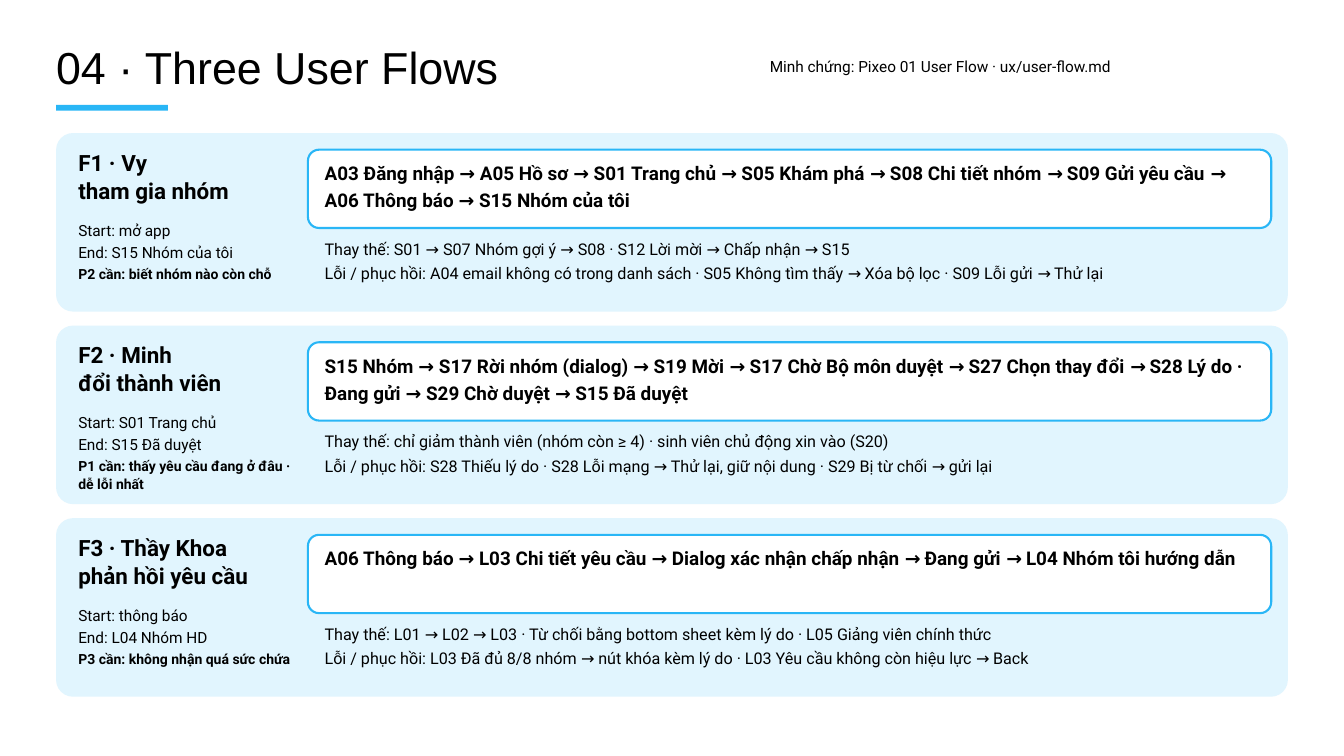
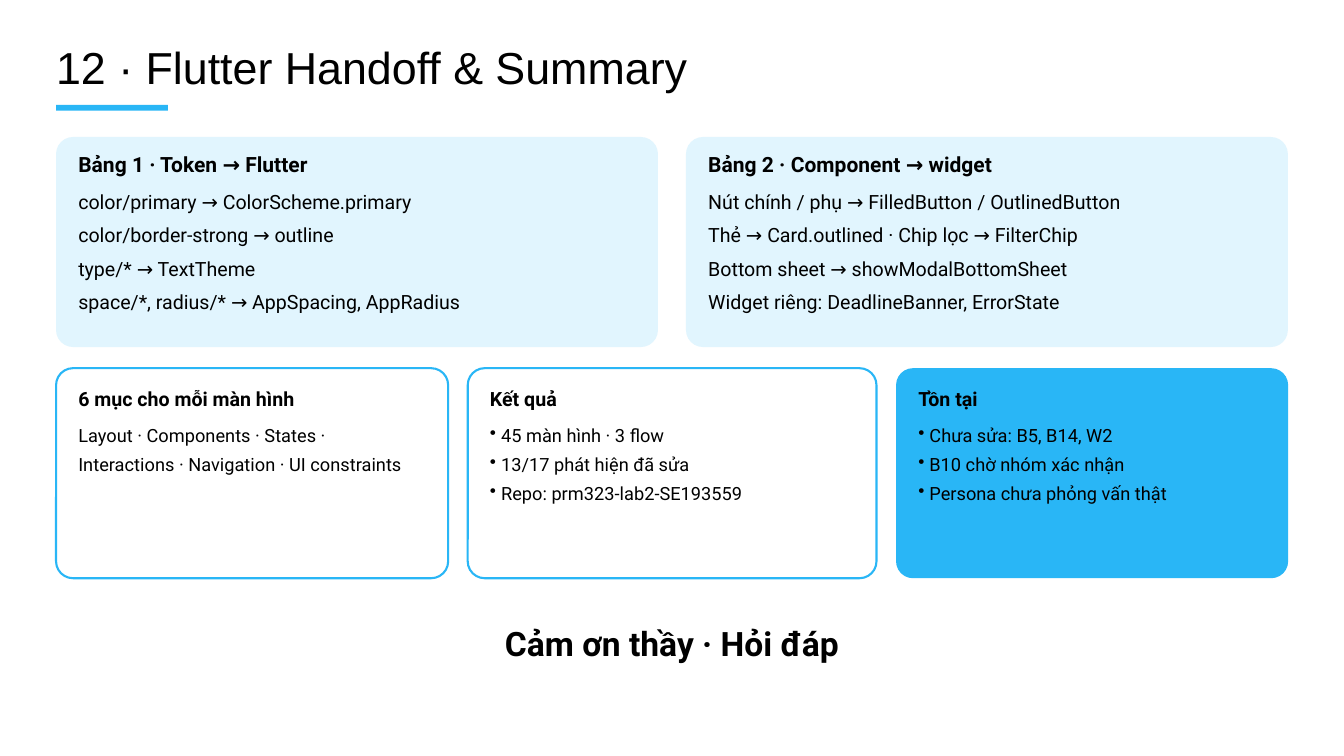
from lxml import etree
from pptx import Presentation
from pptx.dml.color import RGBColor
from pptx.enum.shapes import MSO_SHAPE
from pptx.enum.text import MSO_ANCHOR, MSO_AUTO_SIZE, PP_ALIGN
from pptx.oxml.ns import qn
from pptx.util import Cm, Pt

FLOWS_TITLE = "04 · Three User Flows"
EVIDENCE = "Minh chứng: Pixeo 01 User Flow · ux/user-flow.md"
FLOWS = [
    {
        "name": ["F1 · Vy", "tham gia nhóm"],
        "ends": ["Start: mở app", "End: S15 Nhóm của tôi"],
        "need": "P2 cần: biết nhóm nào còn chỗ",
        "steps": "A03 Đăng nhập → A05 Hồ sơ → S01 Trang chủ → S05 Khám phá → "
                 "S08 Chi tiết nhóm → S09 Gửi yêu cầu → A06 Thông báo → S15 Nhóm của tôi",
        "branches": [
            "Thay thế: S01 → S07 Nhóm gợi ý → S08 · S12 Lời mời → Chấp nhận → S15",
            "Lỗi / phục hồi: A04 email không có trong danh sách · "
            "S05 Không tìm thấy → Xóa bộ lọc · S09 Lỗi gửi → Thử lại",
        ],
    },
    {
        "name": ["F2 · Minh", "đổi thành viên"],
        "ends": ["Start: S01 Trang chủ", "End: S15 Đã duyệt"],
        "need": "P1 cần: thấy yêu cầu đang ở đâu · dễ lỗi nhất",
        "steps": "S15 Nhóm → S17 Rời nhóm (dialog) → S19 Mời → S17 Chờ Bộ môn duyệt → "
                 "S27 Chọn thay đổi → S28 Lý do · Đang gửi → S29 Chờ duyệt → S15 Đã duyệt",
        "branches": [
            "Thay thế: chỉ giảm thành viên (nhóm còn ≥ 4) · sinh viên chủ động xin vào (S20)",
            "Lỗi / phục hồi: S28 Thiếu lý do · S28 Lỗi mạng → Thử lại, giữ nội dung · "
            "S29 Bị từ chối → gửi lại",
        ],
    },
    {
        "name": ["F3 · Thầy Khoa", "phản hồi yêu cầu"],
        "ends": ["Start: thông báo", "End: L04 Nhóm HD"],
        "need": "P3 cần: không nhận quá sức chứa",
        "steps": "A06 Thông báo → L03 Chi tiết yêu cầu → Dialog xác nhận chấp nhận → "
                 "Đang gửi → L04 Nhóm tôi hướng dẫn",
        "branches": [
            "Thay thế: L01 → L02 → L03 · Từ chối bằng bottom sheet kèm lý do · "
            "L05 Giảng viên chính thức",
            "Lỗi / phục hồi: L03 Đã đủ 8/8 nhóm → nút khóa kèm lý do · "
            "L03 Yêu cầu không còn hiệu lực → Back",
        ],
    },
]

HANDOFF_TITLE = "12 · Flutter Handoff & Summary"
MAPPINGS = [
    ("Bảng 1 · Token → Flutter", [
        "color/primary → ColorScheme.primary",
        "color/border-strong → outline",
        "type/* → TextTheme",
        "space/*, radius/* → AppSpacing, AppRadius",
    ]),
    ("Bảng 2 · Component → widget", [
        "Nút chính / phụ → FilledButton / OutlinedButton",
        "Thẻ → Card.outlined · Chip lọc → FilterChip",
        "Bottom sheet → showModalBottomSheet",
        "Widget riêng: DeadlineBanner, ErrorState",
    ]),
]
# heading, lines, bulleted, card width in cm, solid card
SUMMARIES = [
    ("6 mục cho mỗi màn hình",
     ["Layout · Components · States · Interactions · Navigation · UI constraints"],
     False, 14.82, False),
    ("Kết quả",
     ["45 màn hình · 3 flow", "13/17 phát hiện đã sửa", "Repo: prm323-lab2-SE193559"],
     True, 15.45, False),
    ("Tồn tại",
     ["Chưa sửa: B5, B14, W2", "B10 chờ nhóm xác nhận", "Persona chưa phỏng vấn thật"],
     True, 14.82, True),
]
CLOSING = "Cảm ơn thầy · Hỏi đáp"

BLACK = RGBColor(0x00, 0x00, 0x00)
WHITE = RGBColor(0xFF, 0xFF, 0xFF)
SKY = RGBColor(0x29, 0xB6, 0xF6)
PALE = RGBColor(0xE1, 0xF5, 0xFE)
TITLE_FONT, BODY_FONT = "Arial", "Roboto"
LEFT, CENTER = PP_ALIGN.LEFT, PP_ALIGN.CENTER
TOP, NO_FIT = MSO_ANCHOR.TOP, MSO_AUTO_SIZE.NONE
RECTANGLE, ROUNDED = MSO_SHAPE.RECTANGLE, MSO_SHAPE.ROUNDED_RECTANGLE
TITLE_ONLY, COMPARISON = 5, 4

# lengths in cm
MARGIN, CONTENT_WIDTH = 2.12, 46.56
PADDING = 0.84
RADIUS = 0.64
BULLET_INDENT = 0.42


def place(shape, box):
    shape.left, shape.top, shape.width, shape.height = map(Cm, box)


def write(slide, lines, box, size, leading, font=BODY_FONT, bold=False,
          align=LEFT, bulleted=False, holder=None):
    """Set lines in the placeholder given, or in a new text box; box is in cm."""
    if holder is None:
        holder = slide.shapes.add_textbox(0, 0, 0, 0)
    else:
        slide.shapes._spTree.append(holder._element)  # bring in front of the cards
    place(holder, box)
    frame = holder.text_frame
    frame.word_wrap, frame.auto_size, frame.vertical_anchor = True, NO_FIT, TOP
    frame.margin_left = frame.margin_top = frame.margin_right = frame.margin_bottom = 0
    frame.text = "\n".join(lines)
    for paragraph in frame.paragraphs:
        indent = Cm(BULLET_INDENT) if bulleted else 0
        properties = paragraph._p.get_or_add_pPr()
        properties.set("marL", str(indent))
        properties.set("indent", str(-indent))
        if bulleted:
            etree.SubElement(properties, qn("a:buChar"), char="•")
        else:
            etree.SubElement(properties, qn("a:buNone"))
        paragraph.alignment = align
        paragraph.line_spacing = Pt(leading)
        paragraph.space_before = paragraph.space_after = Pt(0)
        for run in paragraph.runs:
            run.font.name, run.font.size, run.font.bold = font, Pt(size), bold
            run.font.color.rgb = BLACK


def panel(slide, box, fill, outline=None, radius=RADIUS):
    shape = slide.shapes.add_shape(ROUNDED if radius else RECTANGLE, *map(Cm, box))
    if radius:
        shape.adjustments[0] = radius / min(box[2:])
    shape.shadow.inherit = False
    shape.fill.solid()
    shape.fill.fore_color.rgb = fill
    if outline is None:
        shape.line.fill.background()
    else:
        shape.line.color.rgb = outline
        shape.line.width = Pt(2.25)


def titled_slide(deck, layout, title, title_width):
    slide = deck.slides.add_slide(deck.slide_layouts[layout])
    write(slide, [title], (MARGIN, 1.83, title_width, 1.8), 48, 48,
          font=TITLE_FONT, holder=slide.shapes.title)
    panel(slide, (MARGIN, 3.97, 4.23, 0.21), SKY, radius=0)
    return slide


def flows_slide(deck):
    slide = titled_slide(deck, TITLE_ONLY, FLOWS_TITLE, 26.46)
    write(slide, [EVIDENCE], (29.1, 2.06, 19.58, 0.85), 16.5, 23.1)
    label_left = MARGIN + PADDING
    steps_left, steps_width = 11.64, 36.41
    steps_text = steps_left + 0.63
    for row, flow in enumerate(FLOWS):
        top = 5.03 + row * 7.28
        panel(slide, (MARGIN, top, CONTENT_WIDTH, 6.75), PALE)
        panel(slide, (steps_left, top + 0.63, steps_width, 2.96), WHITE, SKY, 0.42)
        write(slide, flow["name"], (label_left, top + 0.56, 7.94, 2.15), 24, 30, bold=True)
        write(slide, flow["ends"], (label_left, top + 3.17, 7.94, 1.65), 16.5, 23.9)
        write(slide, [flow["need"]], (label_left, top + 4.94, 8.2, 1.4), 15, 19.5, bold=True)
        write(slide, [flow["steps"]], (steps_text, top + 0.9, 35.14, 2.04),
              20.25, 29.4, bold=True)
        write(slide, flow["branches"], (steps_text, top + 3.83, 35.7, 1.8), 17.25, 25.9)


def handoff_slide(deck):
    slide = titled_slide(deck, COMPARISON, HANDOFF_TITLE, 31.75)
    holders = [p for p in slide.placeholders if p.placeholder_format.idx > 0]

    gap, top, height = 1.06, 5.18, 7.94
    width = (CONTENT_WIDTH - gap) / 2
    for column, (heading, lines) in enumerate(MAPPINGS):
        left = MARGIN + column * (width + gap)
        heading_holder, list_holder = holders[2 * column:2 * column + 2]
        panel(slide, (left, top, width, height), PALE)
        write(slide, [heading], (left + PADDING, top + 0.38, width - 2 * PADDING, 1.12),
              22.5, 31.5, bold=True, holder=heading_holder)
        write(slide, lines, (left + PADDING, top + 1.63, width - 2 * PADDING, 5.04),
              21, 35.7, holder=list_holder)

    left, top, gap = MARGIN, 13.92, 0.74
    for heading, lines, bulleted, width, solid in SUMMARIES:
        panel(slide, (left, top, width, height),
              SKY if solid else WHITE, None if solid else SKY)
        write(slide, [heading], (left + PADDING, top + 0.56, width - 2 * PADDING, 1.04),
              21, 29.4, bold=True)
        write(slide, lines, (left + PADDING, top + 1.85, width - 2 * PADDING, 3.3),
              19.5, 31.2, bulleted=bulleted)
        left += width + gap

    write(slide, [CLOSING], (MARGIN, 23.29, CONTENT_WIDTH, 1.78), 36, 50.4,
          bold=True, align=CENTER)


def main():
    deck = Presentation()
    deck.slide_width, deck.slide_height = Cm(50.8), Cm(28.58)
    flows_slide(deck)
    handoff_slide(deck)
    deck.save("out.pptx")


if __name__ == "__main__":
    main()
